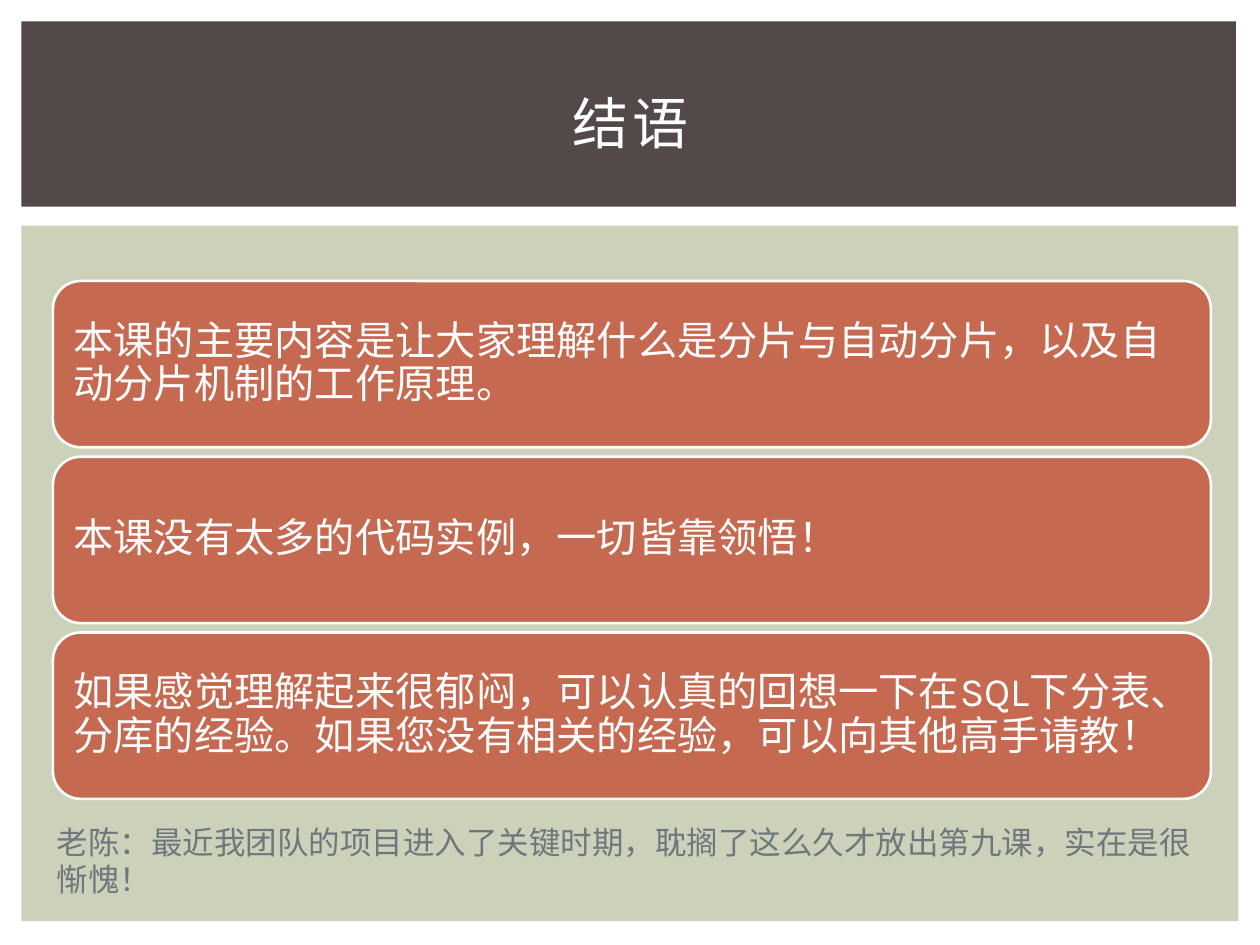
from pptx import Presentation
from pptx.dml.color import RGBColor
from pptx.enum.shapes import MSO_SHAPE
from pptx.enum.text import MSO_ANCHOR, PP_ALIGN
from pptx.util import Inches, Pt

RECT, ROUND = MSO_SHAPE.RECTANGLE, MSO_SHAPE.ROUNDED_RECTANGLE
MID, TOP = MSO_ANCHOR.MIDDLE, MSO_ANCHOR.TOP
LEFT, CENTER = PP_ALIGN.LEFT, PP_ALIGN.CENTER

FONT = "Karla"
COLORS = {
    "white": "FFFFFF",
    "sage": "CCD1B9",
    "brown": "534949",
    "rust": "C66951",
    "gray": "6F777D",
}
POINTS = [
    "本课的主要内容是让大家理解什么是分片与自动分片，以及自动分片机制的工作原理。",
    "本课没有太多的代码实例，一切皆靠领悟！",
    "如果感觉理解起来很郁闷，可以认真的回想一下在SQL下分表、分库的经验。如果您没有相关的经验，可以向其他高手请教！",
]
NOTE = "老陈：最近我团队的项目进入了关键时期，耽搁了这么久才放出第九课，实在是很惭愧！"

# Card rows: left, first top, width, height and step, in inches
CARD_X, CARD_Y, CARD_W, CARD_H, STEP = 0.42, 2.23, 9.19, 1.32, 1.395


def color(name):
    return RGBColor.from_string(COLORS[name])


def add_box(slide, kind, area, fill, line=None):
    box = slide.shapes.add_shape(kind, *map(Inches, area))
    box.shadow.inherit = False
    box.fill.solid()
    box.fill.fore_color.rgb = color(fill)
    if line:
        box.line.color.rgb = color(line)
        box.line.width = Pt(1.5)
    else:
        box.line.fill.background()
    return box


def set_text(shape, text, size, tint, anchor=MID, align=LEFT):
    frame = shape.text_frame
    frame.word_wrap = True
    frame.vertical_anchor = anchor
    para = frame.paragraphs[0]
    para.text = text
    para.alignment = align
    para.font.name = FONT
    para.font.size = Pt(size)
    para.font.color.rgb = color(tint)
    return para


def add_label(slide, area, *args, **style):
    label = slide.shapes.add_textbox(*map(Inches, area))
    return set_text(label, *args, **style)


def add_card(slide, row, text):
    area = (CARD_X, CARD_Y + row * STEP, CARD_W, CARD_H)
    card = add_box(slide, ROUND, area, "rust", "white")
    frame = card.text_frame
    frame.margin_left = frame.margin_right = Inches(0.1)
    frame.margin_top = frame.margin_bottom = Inches(0.1)
    set_text(card, text, 23, "white").line_spacing = 0.9


def main():
    deck = Presentation()
    deck.slide_width, deck.slide_height = Inches(10), Inches(7.5)
    slide = deck.slides.add_slide(deck.slide_layouts[6])

    # Body panel and title band
    add_box(slide, RECT, (0.17, 1.79, 9.66, 5.52), "sage")
    add_box(slide, RECT, (0.17, 0.17, 9.64, 1.47), "brown")

    # Key points
    for row, text in enumerate(POINTS):
        add_card(slide, row, text)

    # Title, with letters spaced by 2 points
    title = add_label(slide, (0.42, 0.39, 9.17, 1.15), "结语", 32, "white",
                      align=CENTER)
    title.runs[0].font._element.set("spc", "200")

    # Closing note
    add_label(slide, (0.35, 6.48, 9.21, 0.66), NOTE, 18, "gray", anchor=TOP)

    deck.save("out.pptx")


if __name__ == "__main__":
    main()
